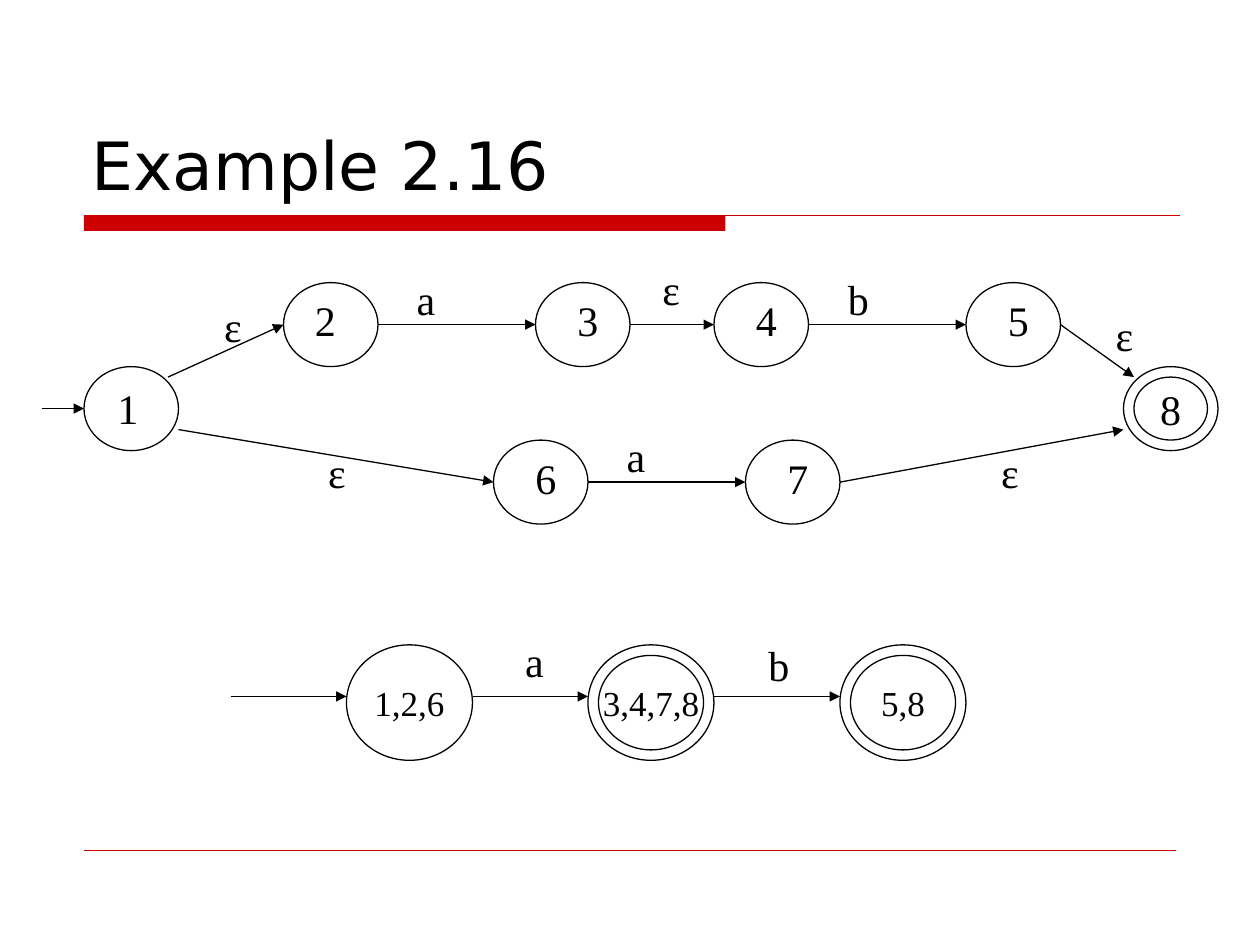
from dataclasses import dataclass

from lxml import etree
from pptx import Presentation
from pptx import util as u
from pptx.dml.color import RGBColor
from pptx.enum import shapes, text
from pptx.oxml.ns import qn


@dataclass(frozen=True)
class Theme:
    ink: RGBColor = RGBColor(0, 0, 0)
    accent: RGBColor = RGBColor(0xCC, 0, 0)
    title_font: str = "DejaVu Sans"
    body_font: str = "Times New Roman"
    title_size: float = 38
    label_size: float = 24
    set_size: float = 20
    line: float = 0.75
    hairline: float = 0.25


THEME = Theme()
STATE_W, STATE_H = 54, 48
SET_W, SET_H = 72, 66
RING_GAP = 6
TOP_Y, MID_Y, LOW_Y, SET_Y = 161.5, 209.5, 251.5, 368.5
TOP_AXIS, MID_AXIS, LOW_AXIS = (y + STATE_H / 2 for y in (TOP_Y, MID_Y, LOW_Y))
SET_AXIS = 398


def style(p, size, font=THEME.body_font):
    p.font.size = u.Pt(size)
    p.font.name = font
    p.font.color.rgb = THEME.ink


def add_title(s, title):
    sp = s.shapes.title
    sp.left, sp.top, sp.width, sp.height = map(u.Pt, (45, 24, 630, 96))
    tf = sp.text_frame
    tf.text = title
    tf.vertical_anchor = text.MSO_ANCHOR.BOTTOM
    tf.auto_size = text.MSO_AUTO_SIZE.NONE
    p = tf.paragraphs[0]
    p.alignment = text.PP_ALIGN.LEFT
    style(p, THEME.title_size, THEME.title_font)


def add_line(s, x1, y1, x2, y2, color=THEME.ink, width=THEME.line):
    c = s.shapes.add_connector(shapes.MSO_CONNECTOR.STRAIGHT, *map(u.Pt, (x1, y1, x2, y2)))
    c.line.color.rgb = color
    c.line.width = u.Pt(width)
    etree.SubElement(c._element.spPr, qn("a:effectLst"))
    return c


def add_arrow(s, x1, y1, x2, y2):
    c = add_line(s, x1, y1, x2, y2)
    etree.SubElement(c.line._get_or_add_ln(), qn("a:tailEnd"), type="triangle")


def add_rules(s):
    sp = s.shapes.add_shape(shapes.MSO_SHAPE.RECTANGLE, *map(u.Pt, (48, 123, 366.5, 9)))
    sp.shadow.inherit = False
    sp.fill.solid()
    sp.fill.fore_color.rgb = THEME.accent
    sp.line.fill.background()
    add_line(s, 48, 123, 674.5, 123, THEME.accent)
    add_line(s, 48, 486, 672, 486, THEME.accent, THEME.hairline)


def add_label(s, label, x, y):
    sp = s.shapes.add_textbox(*map(u.Pt, (x, y, 25.5, 36)))
    tf = sp.text_frame
    tf.word_wrap = False
    tf.auto_size = text.MSO_AUTO_SIZE.SHAPE_TO_FIT_TEXT
    tf.text = label
    style(tf.paragraphs[0], THEME.label_size)


def add_ellipse(s, x, y, w, h, label="", size=THEME.label_size):
    sp = s.shapes.add_shape(shapes.MSO_SHAPE.OVAL, *map(u.Pt, (x, y, w, h)))
    sp.shadow.inherit = False
    sp.fill.background()
    sp.line.color.rgb = THEME.ink
    sp.line.width = u.Pt(THEME.line)
    if label:
        tf = sp.text_frame
        tf.word_wrap = False
        tf.vertical_anchor = text.MSO_ANCHOR.MIDDLE
        tf.text = label
        p = tf.paragraphs[0]
        p.alignment = text.PP_ALIGN.CENTER
        style(p, size)


def add_state(s, label, x, y, dx=16.8, dy=3.4):
    add_ellipse(s, x, y, STATE_W, STATE_H)
    add_label(s, label, x + dx, y + dy)


def add_final(s, label, x, y, w, h, size):
    add_ellipse(s, x, y, w, h)
    add_ellipse(s, x + RING_GAP, y + RING_GAP, w - 2 * RING_GAP, h - 2 * RING_GAP, label, size)


def add_nfa(s):
    add_state(s, "1", 48, MID_Y, 12, 5.8)
    add_state(s, "2", 162, TOP_Y, 10.8)
    for label, x, y in (("3", 306, TOP_Y), ("4", 408, TOP_Y), ("5", 552, TOP_Y),
                        ("6", 282, LOW_Y), ("7", 426, LOW_Y)):
        add_state(s, label, x, y)
    add_final(s, "8", 642, MID_Y, STATE_W, STATE_H, THEME.label_size)

    for x1, x2, y in ((24, 48, MID_AXIS), (216, 306, TOP_AXIS), (360, 408, TOP_AXIS),
                      (462, 552, TOP_AXIS), (336, 426, LOW_AXIS)):
        add_arrow(s, x1, y, x2, y)
    upper, lower = MID_Y + 6, MID_Y + 36
    add_arrow(s, 96, upper, 162, TOP_AXIS)
    add_arrow(s, 606, TOP_AXIS, 648, upper)
    add_arrow(s, 102, lower, 282, LOW_AXIS)
    add_arrow(s, 480, LOW_AXIS, 642, lower)

    for label, x, y in (("a", 231, 152.5), ("b", 477.5, 152.5), ("a", 351, 242.5),
                        ("ε", 371.5, 147), ("ε", 121, 168), ("ε", 630.5, 173.5),
                        ("ε", 180.5, 251.5), ("ε", 565, 251.5)):
        add_label(s, label, x, y)


def add_dfa(s):
    add_ellipse(s, 198, SET_Y, SET_W, SET_H, "1,2,6", THEME.set_size)
    add_final(s, "3,4,7,8", 336, SET_Y, SET_W, SET_H, THEME.set_size)
    add_final(s, "5,8", 480, SET_Y, SET_W, SET_H, THEME.set_size)
    for x1, x2 in ((132, 198), (270, 336), (408, 480)):
        add_arrow(s, x1, SET_AXIS, x2, SET_AXIS)
    add_label(s, "a", 293, 359.5)
    add_label(s, "b", 432, 362)


def main():
    prs = Presentation()
    prs.slide_width, prs.slide_height = u.Pt(720), u.Pt(540)
    s = prs.slides.add_slide(prs.slide_layouts[5])
    add_rules(s)
    add_title(s, "Example 2.16")
    add_nfa(s)
    add_dfa(s)
    prs.save("out.pptx")


if __name__ == "__main__":
    main()
